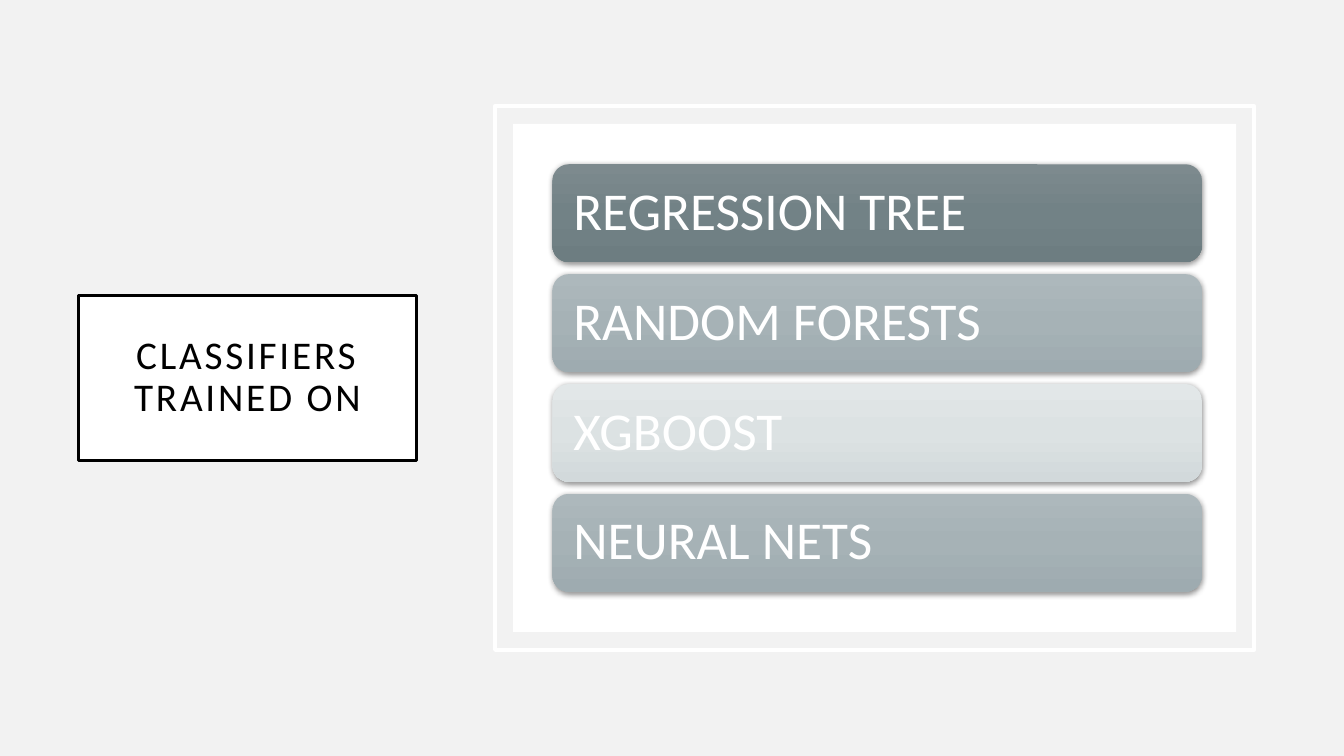
from dataclasses import dataclass

from lxml import etree
from pptx import Presentation
from pptx.dml.color import RGBColor
from pptx.enum.shapes import MSO_SHAPE
from pptx.enum.text import MSO_ANCHOR, MSO_AUTO_SIZE, PP_ALIGN
from pptx.oxml.ns import qn
from pptx.util import Emu, Pt

RECT, ROUND_RECT = MSO_SHAPE.RECTANGLE, MSO_SHAPE.ROUNDED_RECTANGLE
LEFT, CENTER = PP_ALIGN.LEFT, PP_ALIGN.CENTER
MIDDLE = MSO_ANCHOR.MIDDLE
NO_AUTOFIT = MSO_AUTO_SIZE.NONE
TITLE_ONLY = 5
PX = 9144  # 100 px to the inch


@dataclass(frozen=True)
class Theme:
    font: str = "Calibri"
    title_size: int = 28
    bar_size: int = 38
    line_width: float = 2.5
    backdrop: str = "F2F2F2"
    white: str = "FFFFFF"
    black: str = "000000"
    dark: tuple = ("7D8A8E", "728286", "6D7D81")
    medium: tuple = ("ADB8BC", "A6B2B6", "9EABB0")
    light: tuple = ("E2E7E8", "DCE2E3", "D2D9DB")


THEME = Theme()
CLASSIFIERS = [
    ("REGRESSION TREE", THEME.dark),
    ("RANDOM FORESTS", THEME.medium),
    ("XGBOOST", THEME.light),
    ("NEURAL NETS", THEME.medium),
]
BAR_LEFT, BAR_TOP, BAR_WIDTH, BAR_HEIGHT, BAR_STEP = 548, 163, 644, 97, 109


def px(n):
    return Emu(n * PX)


def style_box(sp, fill=None, line=None):
    if fill:
        sp.fill.solid()
        sp.fill.fore_color.rgb = RGBColor.from_string(fill)
    else:
        sp.fill.background()
    if line:
        sp.line.color.rgb = RGBColor.from_string(line)
        sp.line.width = Pt(THEME.line_width)
    else:
        sp.line.fill.background()


def add_box(s, kind, x, y, w, h, fill=None, line=None):
    sp = s.shapes.add_shape(kind, px(x), px(y), px(w), px(h))
    sp.shadow.inherit = False
    style_box(sp, fill, line)
    return sp


def set_text(sp, text, *, size, color, align=LEFT, inset=0, spacing=0):
    tf = sp.text_frame
    tf.word_wrap = True
    tf.auto_size = NO_AUTOFIT
    tf.vertical_anchor = MIDDLE
    tf.margin_left = tf.margin_right = px(inset)
    tf.margin_top = tf.margin_bottom = px(inset)
    p = tf.paragraphs[0]
    p.alignment = align
    p.line_spacing = 0.9
    p.space_before = Pt(0)
    r = p.add_run()
    r.text = text
    r.font.name = THEME.font
    r.font.size = Pt(size)
    r.font.color.rgb = RGBColor.from_string(color)
    if spacing:
        r.font._element.set("spc", str(spacing * 100))


def add_color(parent, color):
    return etree.SubElement(parent, qn("a:srgbClr"), val=color)


def set_gradient(sp, colors):
    sp.fill.gradient()
    sp.fill.gradient_angle = 270
    stops = sp.element.spPr.find(".//" + qn("a:gsLst"))
    for stop in list(stops):
        stops.remove(stop)
    for i, color in enumerate(colors):
        pos = i * 100000 // (len(colors) - 1)
        add_color(etree.SubElement(stops, qn("a:gs"), pos=str(pos)), color)


def add_shadow(sp):
    effects = sp.element.spPr.find(qn("a:effectLst"))
    shadow = etree.SubElement(
        effects, qn("a:outerShdw"), blurRad=str(Pt(4.4)), dist=str(Pt(1.2)),
        dir="5400000", algn="ctr", rotWithShape="0")
    etree.SubElement(add_color(shadow, THEME.black), qn("a:alpha"), val="45000")


def add_bar(s, y, text, colors):
    sp = add_box(s, ROUND_RECT, BAR_LEFT, y, BAR_WIDTH, BAR_HEIGHT)
    set_gradient(sp, colors)
    add_shadow(sp)
    set_text(sp, text, size=THEME.bar_size, color=THEME.white, inset=16)


def place_title(s, text, x, y, w, h):
    sp = s.shapes.title
    sp.left, sp.top, sp.width, sp.height = px(x), px(y), px(w), px(h)
    style_box(sp, THEME.white, THEME.black)
    set_text(sp, text, size=THEME.title_size, color=THEME.black,
             align=CENTER, inset=20, spacing=2)
    # Bring the title in front of the backdrop
    sp.element.getparent().append(sp.element)


def main():
    prs = Presentation()
    prs.slide_width, prs.slide_height = px(1333), px(750)
    s = prs.slides.add_slide(prs.slide_layouts[TITLE_ONLY])

    # Backdrop and framed panel
    add_box(s, RECT, 0, 0, 1333, 750, fill=THEME.backdrop)
    add_box(s, RECT, 491, 105, 753, 540, line=THEME.white)
    add_box(s, RECT, 509, 123, 717, 504, fill=THEME.white)

    # Title
    place_title(s, "CLASSIFIERS TRAINED ON", 78, 293, 335, 164)

    # One bar per classifier
    for i, (name, colors) in enumerate(CLASSIFIERS):
        add_bar(s, BAR_TOP + i * BAR_STEP, name, colors)

    prs.save("out.pptx")


if __name__ == "__main__":
    main()
